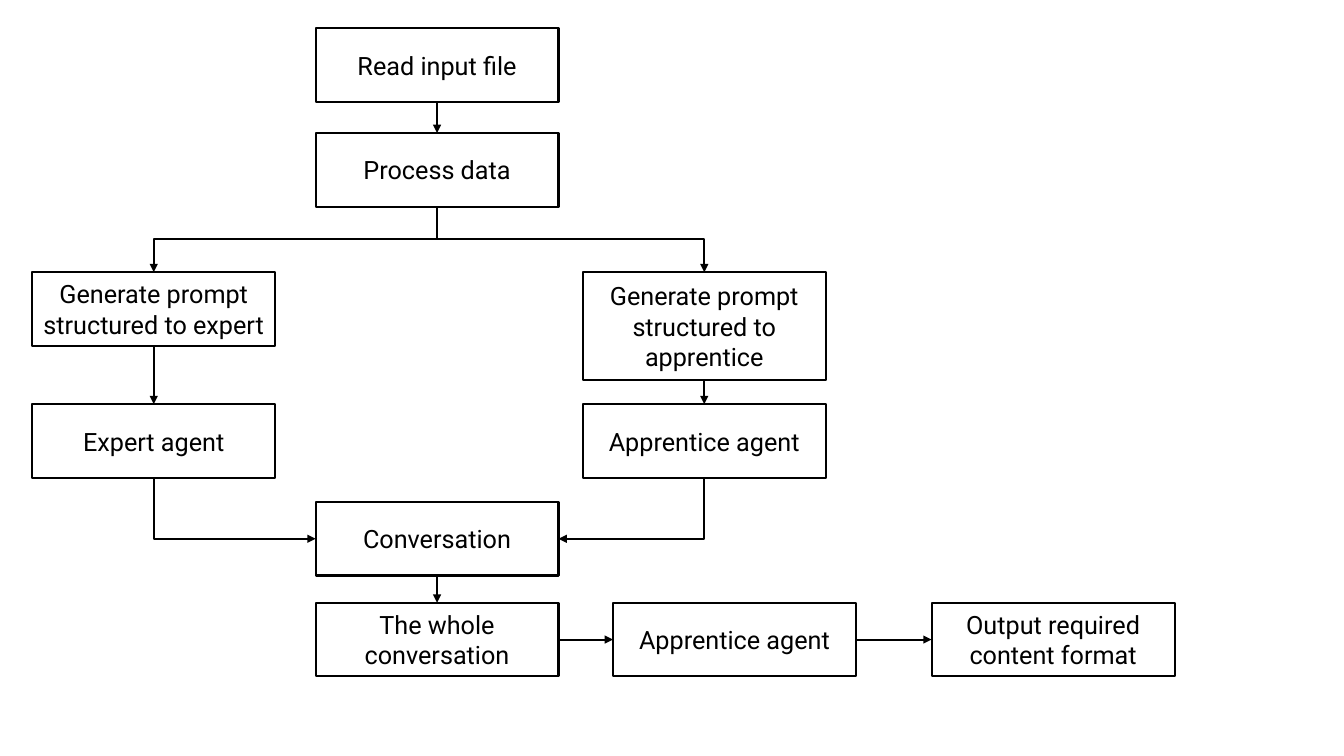
from pptx import Presentation
from pptx.dml.color import RGBColor
from pptx.enum.shapes import MSO_CONNECTOR, MSO_SHAPE
from pptx.enum.text import MSO_ANCHOR, PP_ALIGN
from pptx.oxml.ns import qn
from pptx.util import Inches, Pt
from lxml import etree

RECT = MSO_SHAPE.RECTANGLE
STRAIGHT, ELBOW = MSO_CONNECTOR.STRAIGHT, MSO_CONNECTOR.ELBOW
MIDDLE, CENTER = MSO_ANCHOR.MIDDLE, PP_ALIGN.CENTER
TOP, LEFT, BOTTOM, RIGHT = range(4)

COLORS = {"ink": "000000"}
FONT = "Roboto"
BOX_W, BOX_H = 2.41, 0.73


def ink():
    return RGBColor.from_string(COLORS["ink"])


def add_step(s, text, x, y, h=BOX_H):
    sp = s.shapes.add_shape(RECT, Inches(x), Inches(y), Inches(BOX_W), Inches(h))
    sp.shadow.inherit = False
    sp.fill.background()
    sp.line.color.rgb = ink()
    sp.line.width = Pt(1.5)
    tf = sp.text_frame
    tf.word_wrap = True
    tf.vertical_anchor = MIDDLE
    tf.text = text
    p = tf.paragraphs[0]
    p.alignment = CENTER
    font = p.runs[0].font
    font.name, font.size = FONT, Pt(18)
    font.color.rgb = ink()
    return sp


def site_point(sp, site):
    mid_x, mid_y = sp.left + sp.width // 2, sp.top + sp.height // 2
    return {
        TOP: (mid_x, sp.top),
        LEFT: (sp.left, mid_y),
        BOTTOM: (mid_x, sp.top + sp.height),
        RIGHT: (sp.left + sp.width, mid_y),
    }[site]


def add_arrow(s, start, end, start_site=BOTTOM, end_site=TOP, kind=STRAIGHT):
    x1, y1 = site_point(start, start_site)
    x2, y2 = site_point(end, end_site)
    cxn = s.shapes.add_connector(kind, x1, y1, x2, y2)
    cxn.begin_connect(start, start_site)
    cxn.end_connect(end, end_site)
    cxn.line.color.rgb = ink()
    cxn.line.width = Pt(1.5)
    sp_pr = cxn._element.spPr
    etree.SubElement(sp_pr.find(qn("a:ln")), qn("a:tailEnd"), type="triangle")
    etree.SubElement(sp_pr, qn("a:effectLst"))
    if kind == ELBOW:
        turn_downward(cxn, x1, y1, x2, y2)
        if end_site != TOP:
            sp_pr.find(qn("a:prstGeom")).set("prst", "bentConnector2")
    return cxn


def turn_downward(cxn, x1, y1, x2, y2):
    w, h = abs(y2 - y1), abs(x2 - x1)
    cxn.left, cxn.top = (x1 + x2 - w) // 2, (y1 + y2 - h) // 2
    cxn.width, cxn.height = w, h
    xfrm = cxn._element.spPr.find(qn("a:xfrm"))
    rightward = x2 > x1
    xfrm.set("rot", str((270 if rightward else 90) * 60000))
    xfrm.set("flipH", "1" if rightward else "0")
    xfrm.set("flipV", "0")


def add_input_steps(s, x, y):
    read = add_step(s, "Read input file", x, y)
    process = add_step(s, "Process data", x, y + 1.04)
    add_arrow(s, read, process)
    return process


def add_agent_branch(s, role, x, y, prompt_h):
    prompt = add_step(s, f"Generate prompt structured to {role}", x, y, prompt_h)
    agent = add_step(s, f"{role.capitalize()} agent", x, y + 1.31)
    add_arrow(s, prompt, agent)
    return prompt, agent


def add_output_steps(s, x, y):
    conversation = add_step(s, "Conversation", x, y)
    whole = add_step(s, "The whole conversation", x, y + 1)
    agent = add_step(s, "Apprentice agent", x + 2.95, y + 1)
    output = add_step(s, "Output required content format", x + 6.11, y + 1)
    add_arrow(s, conversation, whole)
    for start, end in ((whole, agent), (agent, output)):
        add_arrow(s, start, end, RIGHT, LEFT)
    return conversation


def main():
    prs = Presentation()
    prs.slide_width, prs.slide_height = Inches(13.33), Inches(7.5)
    s = prs.slides.add_slide(prs.slide_layouts[6])
    process = add_input_steps(s, 3.13, 0.28)
    conversation = add_output_steps(s, 3.13, 4.98)
    for role, x, prompt_h, side in (
        ("expert", 0.32, BOX_H, LEFT),
        ("apprentice", 5.78, 1.07, RIGHT),
    ):
        prompt, agent = add_agent_branch(s, role, x, 2.7, prompt_h)
        add_arrow(s, process, prompt, kind=ELBOW)
        add_arrow(s, agent, conversation, end_site=side, kind=ELBOW)
    prs.save("out.pptx")


if __name__ == "__main__":
    main()
